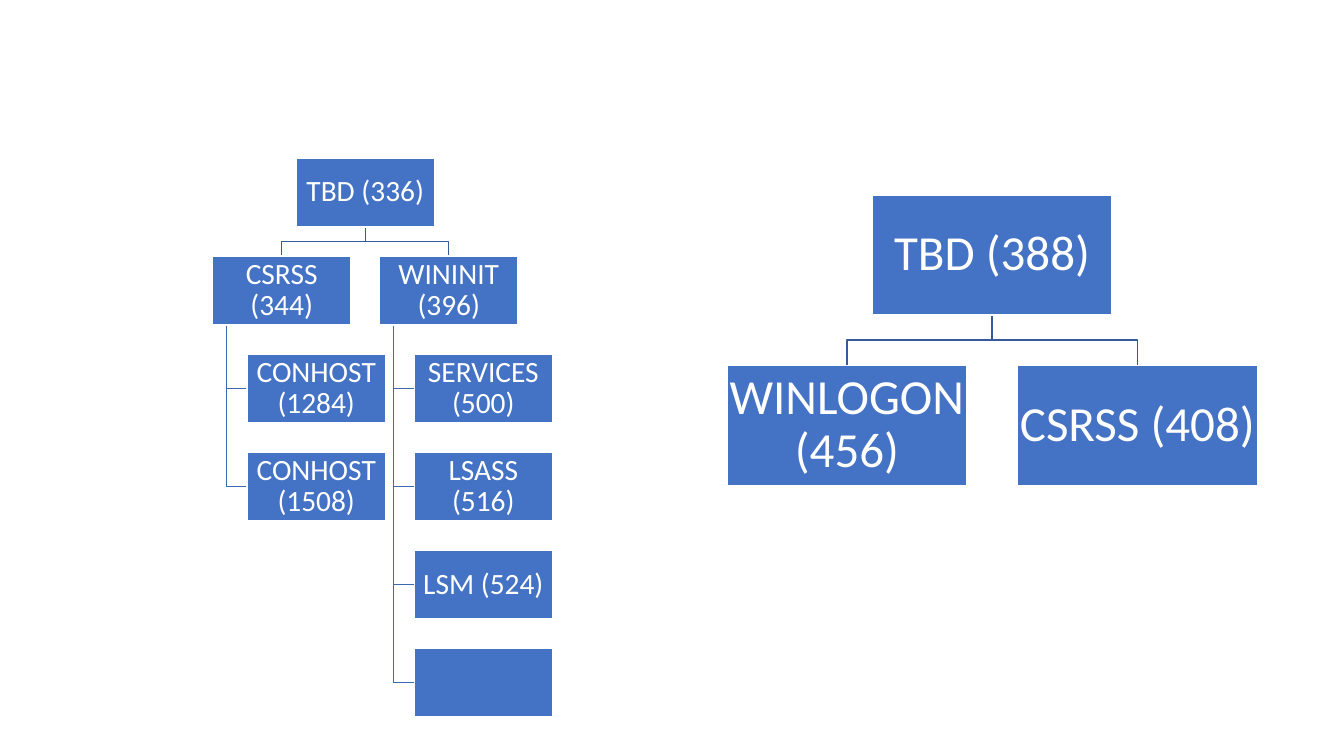
"""Build a slide with two process trees drawn as organisation charts."""
from pptx import Presentation
from pptx.dml.color import RGBColor
from pptx.enum.shapes import MSO_SHAPE
from pptx.enum.text import MSO_ANCHOR, PP_ALIGN
from pptx.util import Cm, Pt

TREES = [
    {"root": "TBD (336)", "left": 5.36, "top": 3.98, "width": 3.48, "size": 21, "inset": 0.03,
     "branches": [
         ("CSRSS (344)", ["CONHOST (1284)", "CONHOST (1508)"]),
         ("WININIT (396)", ["SERVICES (500)", "LSASS (516)", "LSM (524)", ""]),
     ]},
    {"root": "TBD (388)", "left": 18.32, "top": 4.91, "width": 6.05, "size": 35, "inset": 0.05,
     "branches": [("WINLOGON (456)", []), ("CSRSS (408)", [])]},
]
BOX_FILL, BOX_LINE, TEXT = "4472C4", "FFFFFF", "FFFFFF"
ROOT_LINK, LEAF_LINK = "365B9D", "3E67B2"
HEIGHT, GAP, INDENT, TRUNK = 0.5, 0.21, 0.25, 0.1


def rgb(value):
    return RGBColor.from_string(value)


def set_all(obj, values):
    for name, value in values.items():
        setattr(obj, name, value)


def set_line(sp, color):
    sp.shadow.inherit = False
    sp.line.color.rgb = rgb(color)
    sp.line.width = Pt(1)


def add_link(s, points, color):
    start, *rest = [(Cm(x), Cm(y)) for x, y in points]
    builder = s.shapes.build_freeform(*start)
    builder.add_line_segments(rest, close=False)
    sp = builder.convert_to_shape()
    sp.fill.background()
    set_line(sp, color)


def add_box(s, text, x, y, tree):
    w = tree["width"]
    sp = s.shapes.add_shape(MSO_SHAPE.RECTANGLE, Cm(x), Cm(y), Cm(w), Cm(w * HEIGHT))
    sp.fill.solid()
    sp.fill.fore_color.rgb = rgb(BOX_FILL)
    set_line(sp, BOX_LINE)
    if not text:
        return
    tf = sp.text_frame
    sides = ("left", "top", "right", "bottom")
    set_all(tf, {f"margin_{side}": Cm(tree["inset"]) for side in sides})
    set_all(tf, {"word_wrap": True, "vertical_anchor": MSO_ANCHOR.MIDDLE})
    p = tf.paragraphs[0]
    set_all(p, {"alignment": PP_ALIGN.CENTER, "line_spacing": 0.9})
    r = p.add_run()
    r.text = text
    set_all(r.font, {"name": "Calibri", "size": Pt(tree["size"])})
    r.font.color.rgb = rgb(TEXT)


def add_tree(s, tree):
    w, left, top = tree["width"], tree["left"], tree["top"]
    h, gap = w * HEIGHT, w * GAP
    column, row = w + gap, h + gap
    root_x = left + column * (len(tree["branches"]) - 1) / 2
    center = root_x + w / 2
    boxes = [(tree["root"], root_x, top)]
    for i, (branch, leaves) in enumerate(tree["branches"]):
        x, y = left + i * column, top + row
        boxes.append((branch, x, y))
        bend = top + h + gap / 2
        add_link(s, [(center, top + h), (center, bend), (x + w / 2, bend), (x + w / 2, y)],
                 ROOT_LINK)
        trunk, leaf_x = x + w * TRUNK, x + w * INDENT
        for j, leaf in enumerate(leaves, 1):
            leaf_y = y + j * row
            middle = leaf_y + h / 2
            boxes.append((leaf, leaf_x, leaf_y))
            add_link(s, [(trunk, y + h), (trunk, middle), (leaf_x, middle)], LEAF_LINK)
    for text, x, y in boxes:
        add_box(s, text, x, y, tree)


def main():
    prs = Presentation()
    set_all(prs, {"slide_width": Cm(33.87), "slide_height": Cm(19.05)})
    s = prs.slides.add_slide(prs.slide_layouts[6])
    for tree in TREES:
        add_tree(s, tree)
    prs.save("out.pptx")


if __name__ == "__main__":
    main()
